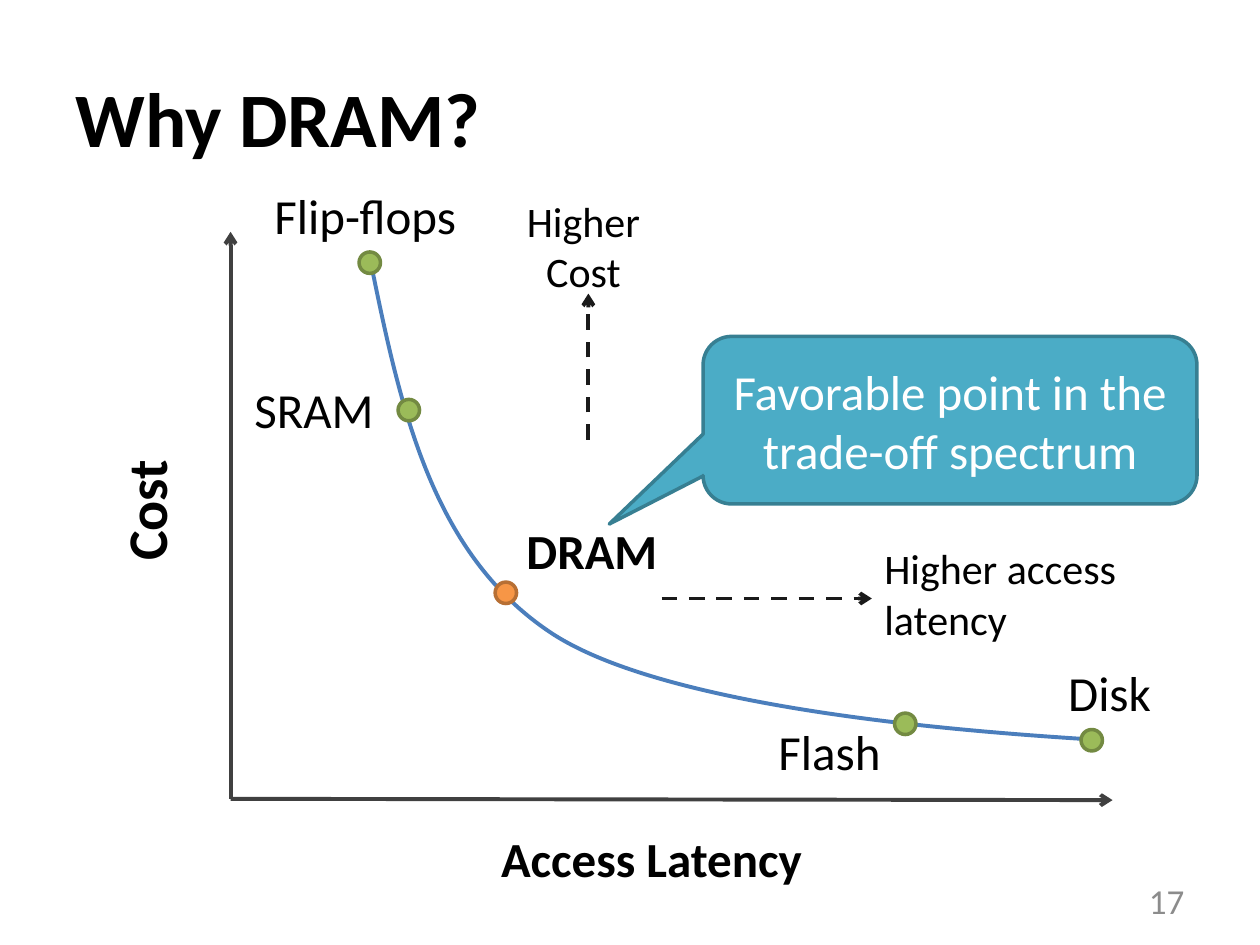
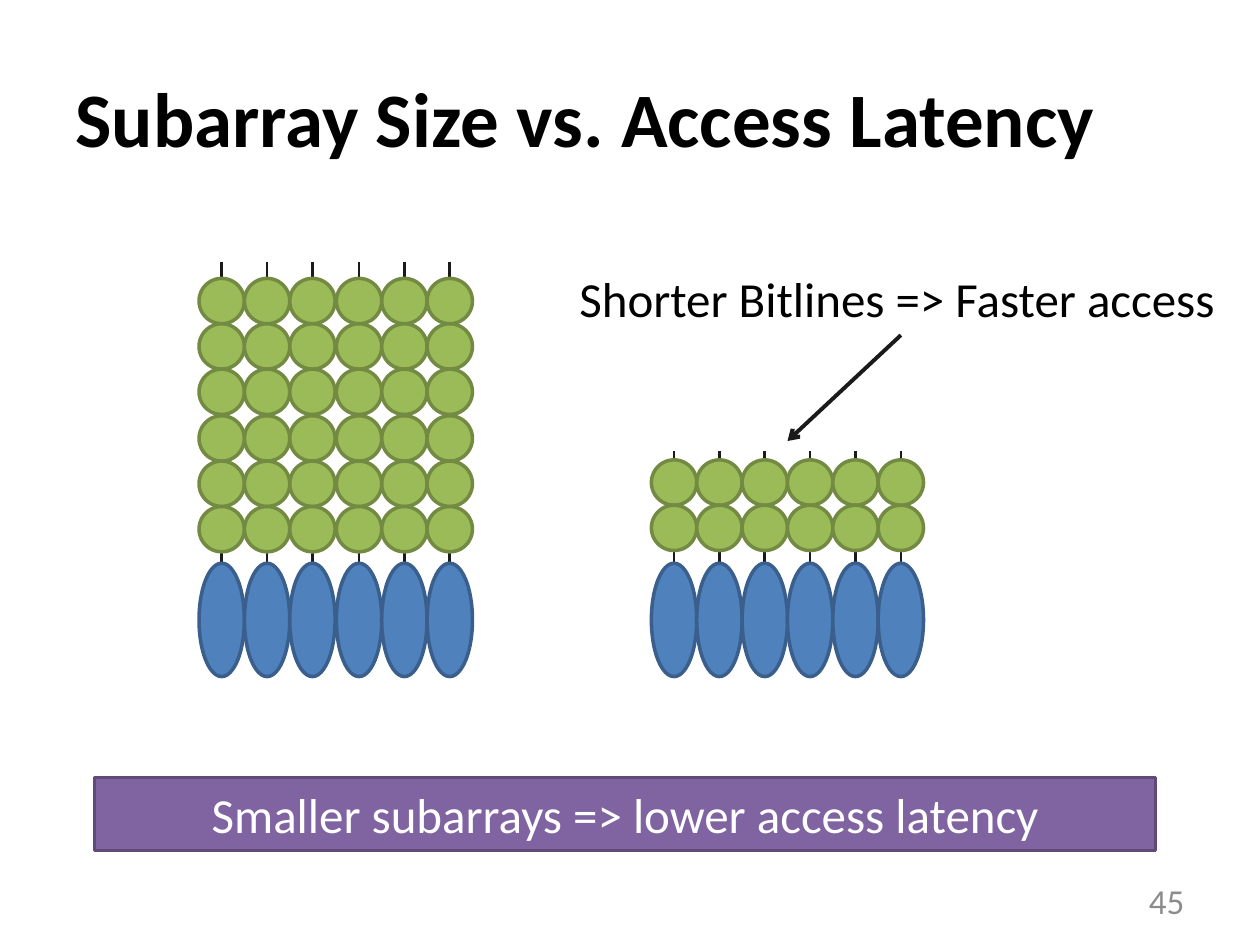
from lxml import etree
from pptx import Presentation
from pptx.dml.color import RGBColor
from pptx.enum.dml import MSO_LINE
from pptx.enum.shapes import MSO_CONNECTOR, MSO_SHAPE
from pptx.enum.text import MSO_ANCHOR, MSO_AUTO_SIZE, PP_ALIGN
from pptx.oxml.ns import qn
from pptx.util import Pt

PX = 9144  # EMU per px, 100 px to the inch
FONT = "Calibri"
COLORS = {
    "black": "000000", "white": "FFFFFF", "page": "8C8C8C",
    "axis": "404040", "ink": "1A1A1A", "curve": "4B7EBC",
    "green": "9BBB59", "green_edge": "738A42",
    "orange": "F79646", "orange_edge": "B76F34",
    "blue": "4F81BD", "blue_edge": "3A5F8C",
    "teal": "4BACC6", "teal_edge": "377F92",
    "purple": "8064A2", "purple_edge": "5F4A78",
}
RGB = {name: RGBColor.from_string(value) for name, value in COLORS.items()}
LEFT, CENTER, RIGHT = PP_ALIGN.LEFT, PP_ALIGN.CENTER, PP_ALIGN.RIGHT
TOP, MIDDLE = MSO_ANCHOR.TOP, MSO_ANCHOR.MIDDLE
GROW, FIXED = MSO_AUTO_SIZE.SHAPE_TO_FIT_TEXT, MSO_AUTO_SIZE.NONE
ELLIPSE, RECTANGLE = MSO_SHAPE.OVAL, MSO_SHAPE.RECTANGLE
CALLOUT = MSO_SHAPE.ROUNDED_RECTANGULAR_CALLOUT
STRAIGHT, DASH = MSO_CONNECTOR.STRAIGHT, MSO_LINE.DASH


def add_item(shapes, box, preset=None, fill=None, text="", size=28, color="black",
             bold=False, align=LEFT, anchor=TOP, wrap=True, auto_size=FIXED):
    """Add a preset shape, or a text box when no preset is given."""
    box = [value * PX for value in box]
    if preset is None:
        shape = shapes.add_textbox(*box)
    else:
        shape = shapes.add_shape(preset, *box)
        shape.shadow.inherit = False
        shape.fill.solid()
        shape.fill.fore_color.rgb = RGB[fill]
        shape.line.color.rgb = RGB[fill + "_edge"]
        shape.line.width = Pt(2)
    if text:
        frame = shape.text_frame
        frame.word_wrap = wrap
        frame.auto_size = auto_size
        frame.vertical_anchor = anchor
        paragraph = frame.paragraphs[0]
        paragraph.alignment = align
        run = paragraph.add_run()
        run.text = text
        run.font.name = FONT
        run.font.size = Pt(size)
        run.font.bold = bold
        run.font.color.rgb = RGB[color]
    return shape


def add_line(shapes, start, end, color="ink", width=2.25, arrow=True, dash=None):
    line = shapes.add_connector(STRAIGHT, *[value * PX for value in (*start, *end)])
    line.line.color.rgb = RGB[color]
    line.line.width = Pt(width)
    if dash:
        line.line.dash_style = dash
    properties = line._element.spPr
    if arrow:
        etree.SubElement(properties.find(qn("a:ln")), qn("a:tailEnd"), type="arrow")
    etree.SubElement(properties, qn("a:effectLst"))


presentation = Presentation()
presentation.slide_width = 1000 * PX
presentation.slide_height = 750 * PX
title_only = presentation.slide_layouts[5]

# Titles and page numbers
slides = []
for title_text, page in (("Why DRAM?", "17"), ("Subarray Size vs. Access Latency", "45")):
    slide = presentation.slides.add_slide(title_only)
    title = slide.shapes.title
    title.left, title.top, title.width, title.height = 50 * PX, 30 * PX, 900 * PX, 125 * PX
    title.text_frame.vertical_anchor = MIDDLE
    paragraph = title.text_frame.paragraphs[0]
    paragraph.alignment = LEFT
    run = paragraph.add_run()
    run.text = title_text
    run.font.name = FONT
    run.font.size = Pt(44)
    run.font.bold = True
    run.font.color.rgb = RGB["black"]
    add_item(slide.shapes, (717, 695, 233, 40), text=page, size=20, color="page",
             align=RIGHT, anchor=MIDDLE)
    slides.append(slide)
tradeoff_slide, subarray_slide = slides

# Cost and latency trade-off: axes
shapes = tradeoff_slide.shapes
for axis_end in ((183, 184), (883, 635)):
    add_line(shapes, (183, 634), axis_end, color="axis")
add_item(shapes, (386, 653, 262, 57), text="Access Latency", bold=True, align=CENTER,
         wrap=False, auto_size=GROW)
cost_label = add_item(shapes, (65, 373, 101, 64), text="Cost", size=32, bold=True,
                      align=CENTER, wrap=False, auto_size=GROW)
cost_label.rotation = 270

# Curve: a start point, then two cubic segments of three points each
curve_group = shapes.add_group_shape()
curve_points = [(317, 320), (341, 438), (437, 502), (533, 566), (792, 582), (868, 587)]
builder = curve_group.shapes.build_freeform(293, 202, scale=PX)
builder.add_line_segments(curve_points, close=False)
curve = builder.convert_to_shape()
curve.shadow.inherit = False
curve.fill.background()
curve.line.color.rgb = RGB["curve"]
curve.line.width = Pt(2.25)
outline = curve._element.find(".//" + qn("a:path"))
segments = outline.findall(qn("a:lnTo"))
for first in range(0, len(segments), 3):
    bezier = etree.SubElement(outline, qn("a:cubicBezTo"))
    for segment in segments[first:first + 3]:
        bezier.append(segment[0])
        outline.remove(segment)

for x, y, fill in ((858, 579, "green"), (710, 566, "green"), (393, 462, "orange"),
                   (316, 317, "green"), (285, 200, "green")):
    add_item(curve_group.shapes, (x, y, 17, 17), ELLIPSE, fill)

for memory, box, bold in (
    ("Flip-flops", (208, 142, 166, 57), False),
    ("SRAM", (192, 296, 116, 57), False),
    ("DRAM", (408, 408, 125, 57), True),
    ("Flash", (608, 568, 102, 57), False),
    ("Disk", (838, 521, 87, 57), False),
):
    add_item(shapes, box, text=memory, bold=bold, wrap=False, auto_size=GROW)

for direction, box, align, start, end in (
    ("Higher access latency", (692, 426, 267, 91), LEFT, (525, 475), (692, 475)),
    ("Higher Cost", (392, 150, 142, 91), CENTER, (467, 349), (467, 233)),
):
    add_line(shapes, start, end, dash=DASH)
    add_item(shapes, box, text=direction, size=24, align=align, auto_size=GROW)

callout = add_item(shapes, (558, 267, 392, 133), CALLOUT, "teal",
                   "Favorable point in the trade-off spectrum", color="white",
                   align=CENTER, anchor=MIDDLE)
for index, value in enumerate((-0.69, 0.62, 0.17)):
    callout.adjustments[index] = value

# Subarrays: bitlines with cells above a row of sense amplifiers
shapes = subarray_slide.shapes
add_item(shapes, (75, 617, 842, 58), RECTANGLE, "purple",
         "Smaller subarrays => lower access latency", color="white",
         align=CENTER, anchor=MIDDLE)
COLUMNS, CELL = 6, 36
AMPLIFIER_TOP, AMPLIFIER_HEIGHT = 447, 90
for left, cells_top, rows, pitch, line_top in ((158, 221, 6, 36.2, 208),
                                               (517, 365, 2, 36, 358)):
    subarray = subarray_slide.shapes.add_group_shape().shapes
    columns = [left + round(column * pitch) for column in range(COLUMNS)]
    for x in columns:
        middle = x + CELL // 2
        add_line(subarray, (middle, line_top), (middle, AMPLIFIER_TOP), width=1.5, arrow=False)
        for row in range(rows):
            add_item(subarray, (x, cells_top + round(row * pitch), CELL, CELL), ELLIPSE, "green")
    for x in columns:
        add_item(subarray, (x, AMPLIFIER_TOP, CELL, AMPLIFIER_HEIGHT), ELLIPSE, "blue")

add_item(shapes, (450, 208, 530, 57), text="Shorter Bitlines => Faster access",
         wrap=False, auto_size=GROW)
add_line(shapes, (715, 266), (625, 350))

presentation.save("out.pptx")
